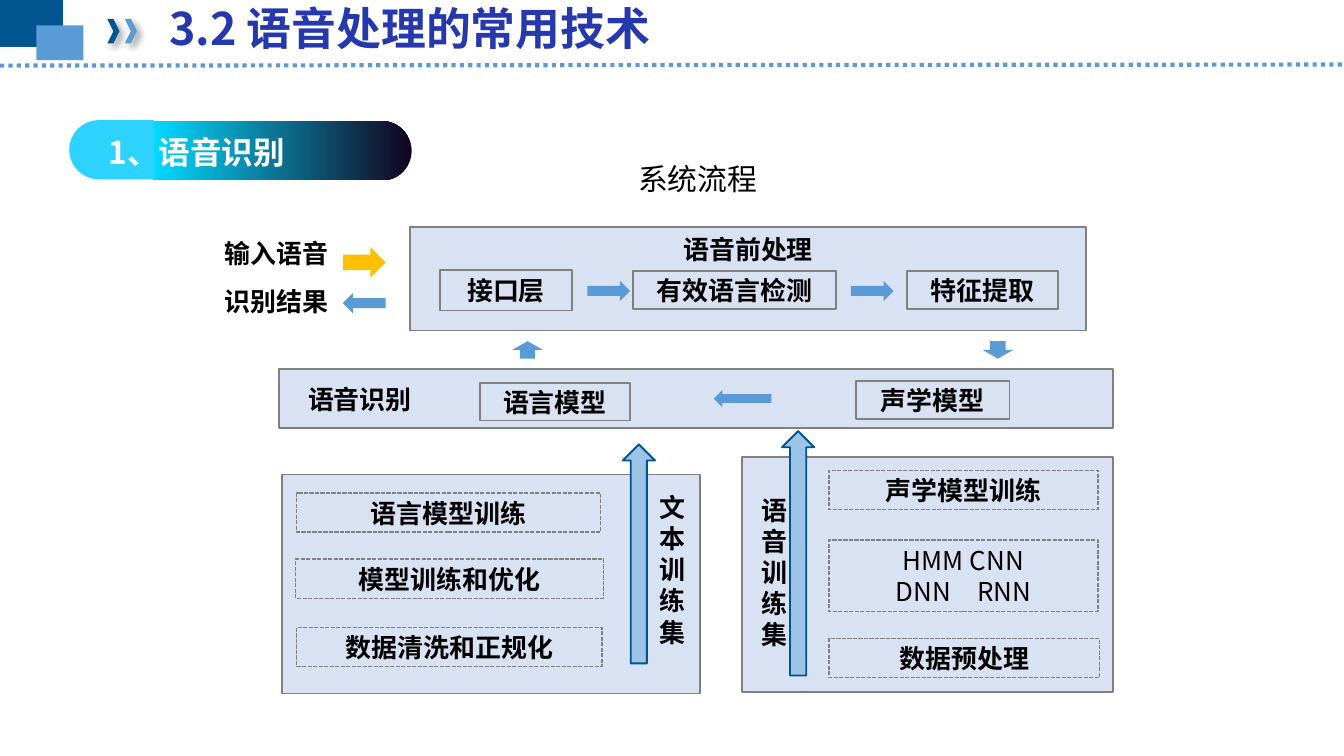
from lxml.etree import SubElement
from pptx import Presentation
from pptx.dml.color import RGBColor
from pptx.enum.dml import MSO_LINE
from pptx.enum.shapes import MSO_CONNECTOR, MSO_SHAPE
from pptx.enum.text import MSO_ANCHOR, PP_ALIGN
from pptx.oxml.ns import qn
from pptx.util import Cm, Pt

NAVY = RGBColor(0x00, 0x54, 0x90)
BLUE = RGBColor(0x5B, 0x9B, 0xD5)
PALE = RGBColor(0x9D, 0xC3, 0xE6)
TINT = RGBColor(0x44, 0x72, 0xC4)
GRAY = RGBColor(0x80, 0x80, 0x80)
GOLD = RGBColor(0xFF, 0xC0, 0x00)
SKY = RGBColor(0x2E, 0xD2, 0xFF)
CYAN = RGBColor(0x04, 0xD9, 0xFF)
DARK = RGBColor(0x13, 0x03, 0x1D)
INK = RGBColor(0x26, 0x38, 0xAE)
BLACK = RGBColor(0x00, 0x00, 0x00)
WHITE = RGBColor(0xFF, 0xFF, 0xFF)
FONT = "Noto Sans CJK SC"
LABEL = {"name": FONT, "size": Pt(13.9), "bold": True}
PLAIN = {**LABEL, "bold": False}
SIDE, THIN = Cm(0.25), Cm(0.08)

deck = Presentation()
deck.slide_width, deck.slide_height = Cm(25.4), Cm(14.29)
slide = deck.slides.add_slide(deck.slide_layouts[5])
shapes = slide.shapes


def draw(kind, box, fill=None, edge=None, width=1, alpha=None):
    """Add a preset shape with flat fill and outline."""
    shape = shapes.add_shape(kind, *map(Cm, box))
    shape.shadow.inherit = False
    if fill is None:
        shape.fill.background()
    else:
        shape.fill.solid()
        shape.fill.fore_color.rgb = fill
    if alpha:
        color = shape._element.spPr.find(qn("a:solidFill"))[0]
        SubElement(color, qn("a:alpha")).set("val", str(alpha * 1000))
    if edge is None:
        shape.line.fill.background()
    else:
        shape.line.color.rgb = edge
        shape.line.width = Pt(width)
    return shape


def write(shape, words, look=LABEL, color=BLACK, align=PP_ALIGN.CENTER,
          anchor=MSO_ANCHOR.TOP, wrap=True):
    """Fill a shape with text in one format."""
    frame = shape.text_frame
    frame.text = words
    frame.word_wrap = wrap
    frame.vertical_anchor = anchor
    for para in frame.paragraphs:
        para.alignment = align
        for run in para.runs:
            for key, value in look.items():
                setattr(run.font, key, value)
            run.font.color.rgb = color
            SubElement(run.font._element, qn("a:ea")).set("typeface", FONT)
    return frame


# Header: corner blocks, dotted rule, chevrons
draw(MSO_SHAPE.RECTANGLE, (0, 0, 1.19, 0.89), NAVY)
draw(MSO_SHAPE.RECTANGLE, (0.69, 0.48, 0.89, 0.66), BLUE)
rule = shapes.add_connector(MSO_CONNECTOR.STRAIGHT, 0, Cm(1.24), Cm(25.4), Cm(1.22))
rule.line.color.rgb = BLUE
rule.line.width = Pt(2.25)
rule.line.dash_style = MSO_LINE.ROUND_DOT
SubElement(rule._element.spPr, qn("a:effectLst"))
for left, fill in ((2.03, NAVY), (2.36, BLUE)):
    mark = draw(MSO_SHAPE.CHEVRON, (left, 0.36, 0.23, 0.46), fill)
    effect = mark._element.spPr.find(qn("a:effectLst"))
    shade = SubElement(effect, qn("a:outerShdw"), blurRad=str(Pt(4)),
                       dist=str(Pt(3)), dir="2700000", algn="tl", rotWithShape="0")
    tone = SubElement(shade, qn("a:srgbClr"), val="000000")
    SubElement(tone, qn("a:alpha"), val="40000")

# Title
title = shapes.title
title.left, title.top, title.width, title.height = map(Cm, (2.95, 0, 10.01, 1.04))
frame = write(title, "3.2 语音处理的常用技术", {**LABEL, "size": Pt(24)}, INK, PP_ALIGN.LEFT)
frame.margin_left = frame.margin_right = SIDE
frame.margin_top, frame.margin_bottom = Cm(0.13), 0
frame.paragraphs[0].line_spacing = 0.9

# Section pill
pill = draw(MSO_SHAPE.ROUND_2_SAME_RECTANGLE, (4.78, 0.41, 1.12, 4.88), CYAN)
pill.fill.gradient()
pill.fill.gradient_angle = 270
for stop, color in zip(pill.fill.gradient_stops, (DARK, CYAN)):
    stop.color.rgb = color
cap = draw(MSO_SHAPE.ROUND_2_SAME_RECTANGLE, (1.55, 2.03, 1.12, 1.6), SKY)
for shape, turn in ((pill, 90), (cap, 270)):
    shape.rotation = turn
    shape.adjustments[0] = 0.5

# Free labels
BIG = {**LABEL, "size": Pt(16.9)}
HEAD = {**PLAIN, "size": Pt(16)}
for words, box, look, color, align, wrap in (
    ("1、语音识别", (1.8, 2.39, 6.48, 0.99), BIG, WHITE, PP_ALIGN.LEFT, True),
    ("系统流程", (11.81, 2.92, 2.79, 0.94), HEAD, BLACK, PP_ALIGN.LEFT, False),
    ("输入语音", (3.84, 4.37, 2.77, 0.84), LABEL, BLACK, PP_ALIGN.CENTER, True),
    ("识别结果", (3.84, 5.28, 2.77, 0.84), LABEL, BLACK, PP_ALIGN.CENTER, True),
):
    write(shapes.add_textbox(*map(Cm, box)), words, look, color, align, wrap=wrap)

# Tinted panels
panels = [
    draw(MSO_SHAPE.RECTANGLE, box, TINT, GRAY, alpha=20)
    for box in (
        (7.75, 4.29, 12.78, 1.96),
        (5.28, 6.98, 15.75, 1.12),
        (5.33, 8.97, 7.9, 4.14),
        (14.02, 8.64, 7.01, 4.45),
    )
]
write(panels[0], "语音前处理")
band = write(panels[1], "语音识别", anchor=MSO_ANCHOR.MIDDLE)
band.margin_left, band.margin_right = 0, Cm(12.7)

# Solid-edged steps
for words, box in (
    ("接口层", (8.31, 5.11, 2.51, 0.76)),
    ("有效语言检测", (11.96, 5.13, 3.84, 0.71)),
    ("特征提取", (17.15, 5.13, 2.84, 0.71)),
    ("语言模型", (9.07, 7.24, 2.84, 0.71)),
    ("声学模型", (16.18, 7.21, 2.9, 0.71)),
):
    write(draw(MSO_SHAPE.RECTANGLE, box, edge=GRAY), words, anchor=MSO_ANCHOR.MIDDLE)

# Dashed training steps
for words, box, look in (
    ("语言模型训练", (5.61, 9.32, 5.74, 0.74), LABEL),
    ("模型训练和优化", (5.59, 10.57, 5.82, 0.74), LABEL),
    ("数据清洗和正规化", (5.61, 11.86, 5.77, 0.74), LABEL),
    ("声学模型训练", (15.67, 8.89, 5.08, 0.74), LABEL),
    ("HMM CNN\nDNN　RNN", (15.67, 10.21, 5.08, 1.35), PLAIN),
    ("数据预处理", (15.67, 12.07, 5.11, 0.74), LABEL),
):
    step = draw(MSO_SHAPE.RECTANGLE, box, edge=GRAY, width=0.75)
    step.line.dash_style = MSO_LINE.SQUARE_DOT
    frame = write(step, words, look)
    for side in ("left", "right", "top", "bottom"):
        setattr(frame, "margin_" + side, THIN)

# Narrow labels, one character a line
for words, box in (
    ("文本训练集", (12.22, 9.17, 0.71, 3.23)),
    ("语音训练集", (14.15, 9.22, 0.84, 3.23)),
):
    write(shapes.add_textbox(*map(Cm, box)), words)

# Arrows
for kind, box, fill, edge in (
    (MSO_SHAPE.RIGHT_ARROW, (6.48, 4.67, 0.81, 0.58), GOLD, None),
    (MSO_SHAPE.LEFT_ARROW, (6.48, 5.54, 0.81, 0.38), BLUE, None),
    (MSO_SHAPE.RIGHT_ARROW, (11.1, 5.31, 0.81, 0.38), BLUE, None),
    (MSO_SHAPE.RIGHT_ARROW, (16.08, 5.31, 0.81, 0.38), BLUE, None),
    (MSO_SHAPE.UP_ARROW, (9.68, 6.45, 0.58, 0.33), BLUE, None),
    (MSO_SHAPE.DOWN_ARROW, (18.57, 6.45, 0.58, 0.33), BLUE, None),
    (MSO_SHAPE.LEFT_ARROW, (13.49, 7.37, 1.09, 0.33), BLUE, None),
    (MSO_SHAPE.UP_ARROW, (11.77, 8.4, 0.61, 4.14), PALE, NAVY),
    (MSO_SHAPE.UP_ARROW, (14.78, 8.15, 0.61, 4.62), PALE, NAVY),
):
    draw(kind, box, fill, edge)

deck.save("out.pptx")
